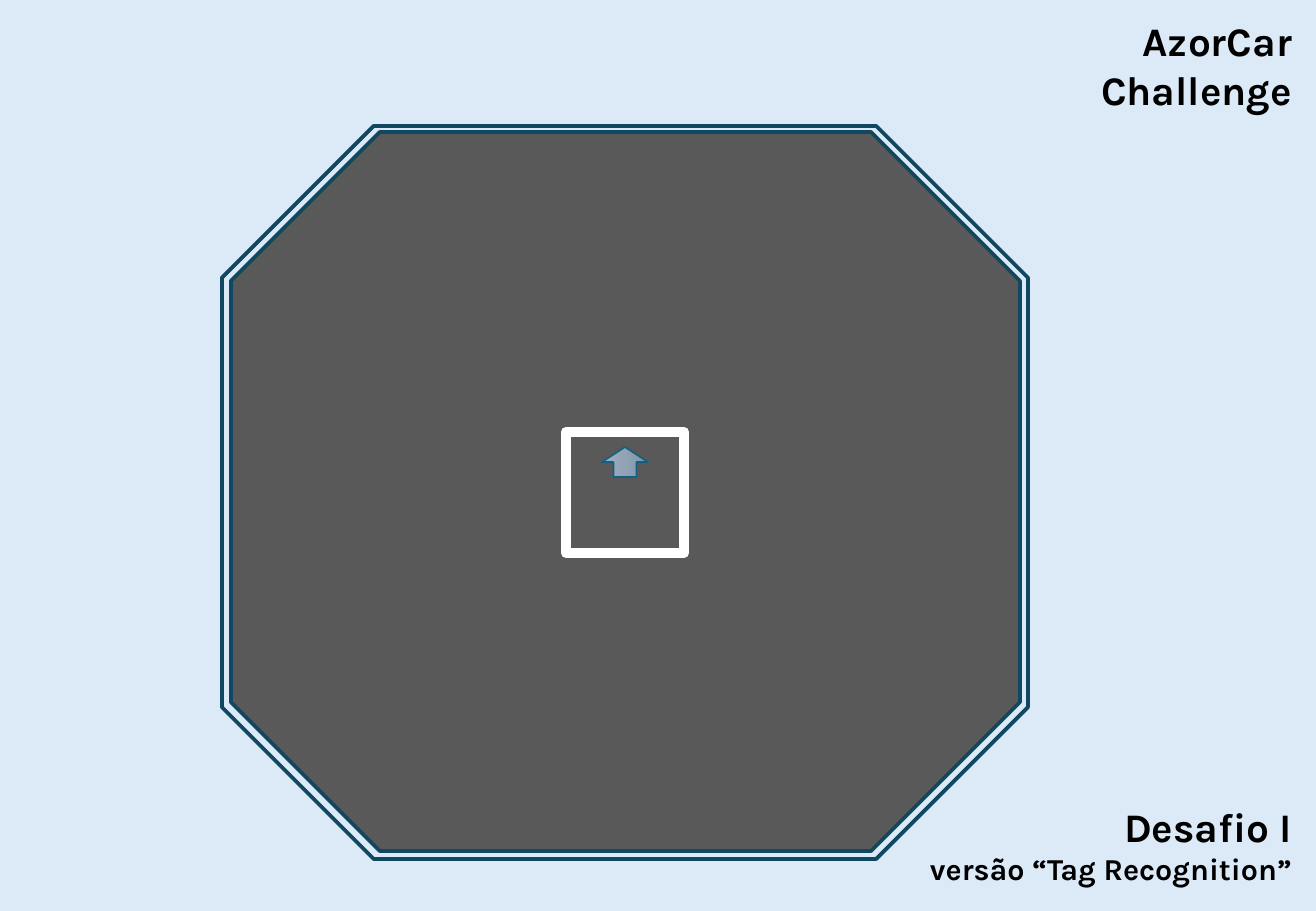
from copy import deepcopy

from pptx import Presentation
from pptx.dml.color import RGBColor
from pptx.enum.shapes import MSO_SHAPE
from pptx.enum.text import MSO_AUTO_SIZE, PP_ALIGN
from pptx.util import Emu, Pt

EMU_PER_PX = 7526
COLOURS = {
    "background": "DCEAF7",
    "floor": "595959",
    "wall": "104862",
    "start": "FFFFFF",
    "arrow_line": "156082",
    "arrow_light": "9EAFBF",
    "arrow_middle": "91A3B4",
    "arrow_dark": "7C95AB",
    "text": "000000",
}


def px(length):
    return Emu(length * EMU_PER_PX)


def colour(name):
    return RGBColor.from_string(COLOURS[name])


def add_text(page, place, lines):
    """Add right-aligned lines, each given as (text, size in points)."""
    box = page.shapes.add_textbox(*map(px, place))
    frame = box.text_frame
    frame.word_wrap = True
    frame.auto_size = MSO_AUTO_SIZE.SHAPE_TO_FIT_TEXT
    for index, (text, size) in enumerate(lines):
        para = frame.add_paragraph() if index else frame.paragraphs[0]
        para.alignment = PP_ALIGN.RIGHT
        span = para.add_run()
        span.text = text
        font_format = {"name": "Karla", "size": Pt(size), "bold": True}
        for attribute, value in font_format.items():
            setattr(span.font, attribute, value)
        span.font.color.rgb = colour("text")


def add_outlined(shapes, kind, place, line, width, fill=None):
    shape = shapes.add_shape(kind, *map(px, place))
    shape.shadow.inherit = False
    shape.line.color.rgb = colour(line)
    shape.line.width = Pt(width)
    if fill:
        shape.fill.solid()
        shape.fill.fore_color.rgb = colour(fill)
    else:
        shape.fill.background()
    return shape


def add_octagon(shapes, place, fill=None):
    octagon = add_outlined(shapes, MSO_SHAPE.OCTAGON, place, "wall", 2.25, fill)
    octagon.adjustments[0] = 0.207


def set_gradient(shape, names):
    """Spread the named colours evenly from the top of the unrotated shape."""
    fill = shape.fill
    fill.gradient()
    fill.gradient_angle = 270
    stop_list = shape.element.spPr.gradFill.gsLst
    while len(stop_list) < len(names):
        stop_list.append(deepcopy(stop_list[0]))
    for index, (stop, name) in enumerate(zip(fill.gradient_stops, names)):
        stop.position = index / (len(names) - 1)
        stop.color.rgb = colour(name)


def add_arena(page):
    arena = page.shapes.add_group_shape().shapes
    add_octagon(arena, (231, 132, 789, 719), "floor")
    add_octagon(arena, (222, 126, 806, 733))
    add_outlined(arena, MSO_SHAPE.RECTANGLE, (566, 432, 118, 121), "start", 6)
    arrow = add_outlined(
        arena, MSO_SHAPE.RIGHT_ARROW, (610, 439, 30, 46), "arrow_line", 1
    )
    arrow.rotation = 270
    set_gradient(arrow, ("arrow_light", "arrow_middle", "arrow_dark"))


def main():
    deck = Presentation()
    deck.slide_width, deck.slide_height = px(1316), px(911)
    page = deck.slides.add_slide(deck.slide_layouts[6])
    page.background.fill.solid()
    page.background.fill.fore_color.rgb = colour("background")
    add_text(page, (1067, 10, 237, 111), [("AzorCar Challenge", 24)])
    add_text(
        page,
        (734, 796, 570, 98),
        [("Desafio I", 24), ("versão “Tag Recognition”", 18)],
    )
    add_arena(page)
    deck.save("out.pptx")


if __name__ == "__main__":
    main()
